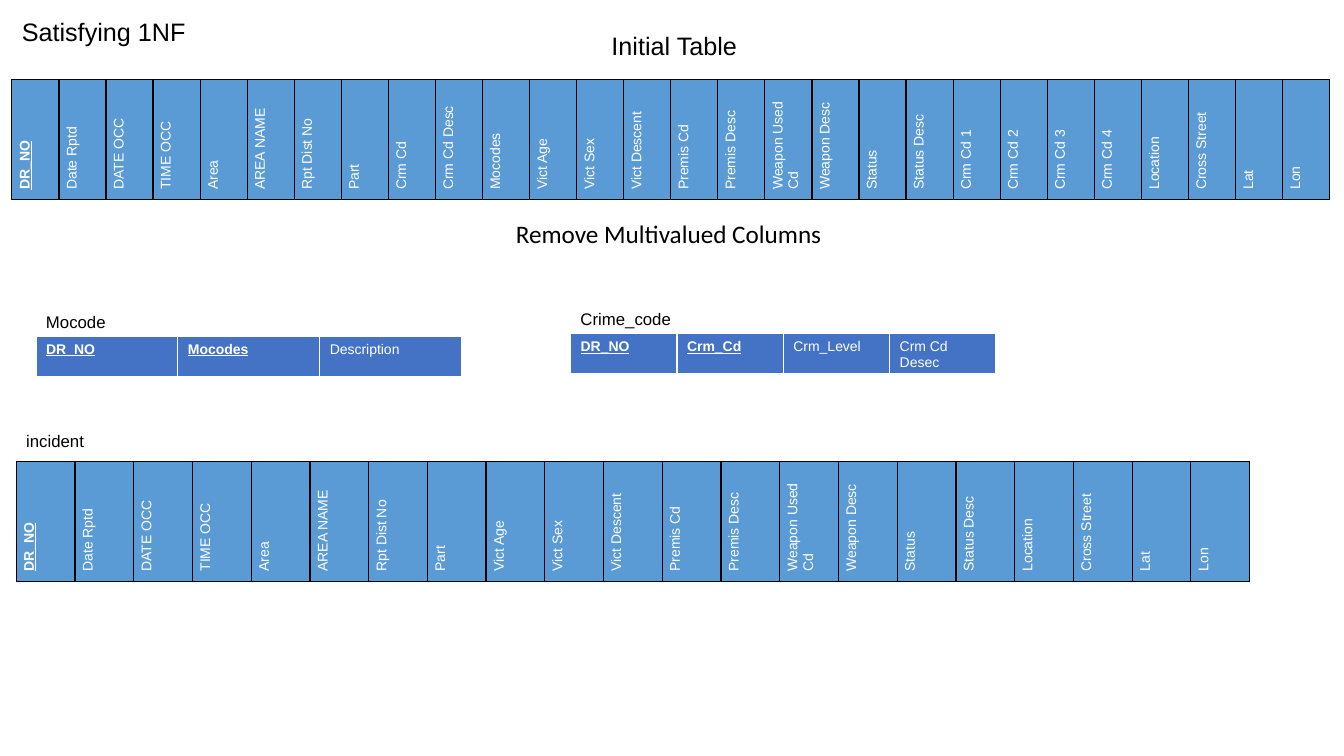
from lxml.etree import SubElement
from pptx import Presentation
from pptx.dml.color import RGBColor
from pptx.enum.text import MSO_ANCHOR, MSO_AUTO_SIZE
from pptx.oxml.ns import qn
from pptx.util import Cm, Pt

# Content
BEFORE_CODES = ["DR_NO", "Date Rptd", "DATE OCC", "TIME OCC", "Area", "AREA NAME",
                "Rpt Dist No", "Part"]
CRIME_COLUMNS = ["Crm Cd", "Crm Cd Desc", "Mocodes"]
VICTIM_TO_STATUS = ["Vict Age", "Vict Sex", "Vict Descent", "Premis Cd", "Premis Desc",
                    "Weapon Used Cd", "Weapon Desc", "Status", "Status Desc"]
EXTRA_CODES = [f"Crm Cd {number}" for number in range(1, 5)]
PLACE = ["Location", "Cross Street", "Lat", "Lon"]

INITIAL = BEFORE_CODES + CRIME_COLUMNS + VICTIM_TO_STATUS + EXTRA_CODES + PLACE
INCIDENT = BEFORE_CODES + VICTIM_TO_STATUS + PLACE
MOCODE = ["DR_NO", "Mocodes", "Description"]
CRIME_CODE = ["DR_NO", "Crm_Cd", "Crm_Level", "Crm Cd Desec"]

# Text, left, top, width, height in cm, size in points, font
LABELS = [
    ("Initial Table", 15.16, 0.64, 3.71, 1.03, 18, "Arial"),
    ("Satisfying 1NF", 0.3, 0.28, 4.67, 1.03, 18, "Arial"),
    ("Remove Multivalued Columns", 12.75, 5.38, 8.31, 1.03, 18, "Calibri"),
    ("Mocode", 0.91, 7.72, 2.03, 0.77, 12, "Arial"),
    ("Crime_code", 14.38, 7.65, 2.79, 0.77, 12, "Arial"),
    ("incident", 0.41, 10.74, 1.98, 0.77, 12, "Arial"),
]

# Columns, number of key columns, left, top, width, height in cm, vertical text
TABLES = [
    (INITIAL, 1, 0.3, 2.01, 33.22, 2.92, True),
    (MOCODE, 2, 0.91, 8.48, 10.72, 1.04, False),
    (CRIME_CODE, 2, 14.38, 8.41, 10.72, 1.04, False),
    (INCIDENT, 1, 0.41, 11.63, 31.09, 2.92, True),
]

BLACK = RGBColor(0x00, 0x00, 0x00)
WHITE = RGBColor(0xFF, 0xFF, 0xFF)
LIGHT_BLUE = RGBColor(0x5B, 0x9B, 0xD5)
DARK_BLUE = RGBColor(0x44, 0x72, 0xC4)


def write_text(frame, text, size=10, font="Arial", color=WHITE, key=False):
    run = frame.paragraphs[0].add_run()
    run.text = text
    run.font.size = Pt(size)
    run.font.name = font
    run.font.color.rgb = color
    run.font.bold = key
    run.font.underline = key


def add_borders(cell, color, bottom_width):
    properties = cell._tc.get_or_add_tcPr()
    for side, width in (("L", 1), ("R", 1), ("T", 1), ("B", bottom_width)):
        line = SubElement(properties, qn(f"a:ln{side}"), w=str(Pt(width)))
        fill = SubElement(line, qn("a:solidFill"))
        SubElement(fill, qn("a:srgbClr"), val=str(color))


def add_schema(slide, names, key_count, left, top, width, height, vertical):
    table = slide.shapes.add_table(1, len(names), Cm(left), Cm(top),
                                   Cm(width), Cm(height)).table
    table.first_row = False
    table.horz_banding = False
    for index, name in enumerate(names):
        table.columns[index].width = Cm(width / len(names))
        cell = table.cell(0, index)
        if vertical:
            add_borders(cell, BLACK, 1)
            cell.vertical_anchor = MSO_ANCHOR.MIDDLE
            cell._tc.get_or_add_tcPr().set("vert", "vert270")
        else:
            add_borders(cell, WHITE, 3)
        cell.fill.solid()
        cell.fill.fore_color.rgb = LIGHT_BLUE if vertical else DARK_BLUE
        write_text(cell.text_frame, name, key=index < key_count)


presentation = Presentation()
presentation.slide_width = Cm(33.87)
presentation.slide_height = Cm(19.05)
slide = presentation.slides.add_slide(presentation.slide_layouts[6])

# Tables
for table_content in TABLES:
    add_schema(slide, *table_content)

# Headings and table names
for text, left, top, width, height, size, font in LABELS:
    frame = slide.shapes.add_textbox(Cm(left), Cm(top), Cm(width), Cm(height)).text_frame
    frame.word_wrap = False
    frame.auto_size = MSO_AUTO_SIZE.SHAPE_TO_FIT_TEXT
    write_text(frame, text, size=size, font=font, color=BLACK)

presentation.save("out.pptx")
